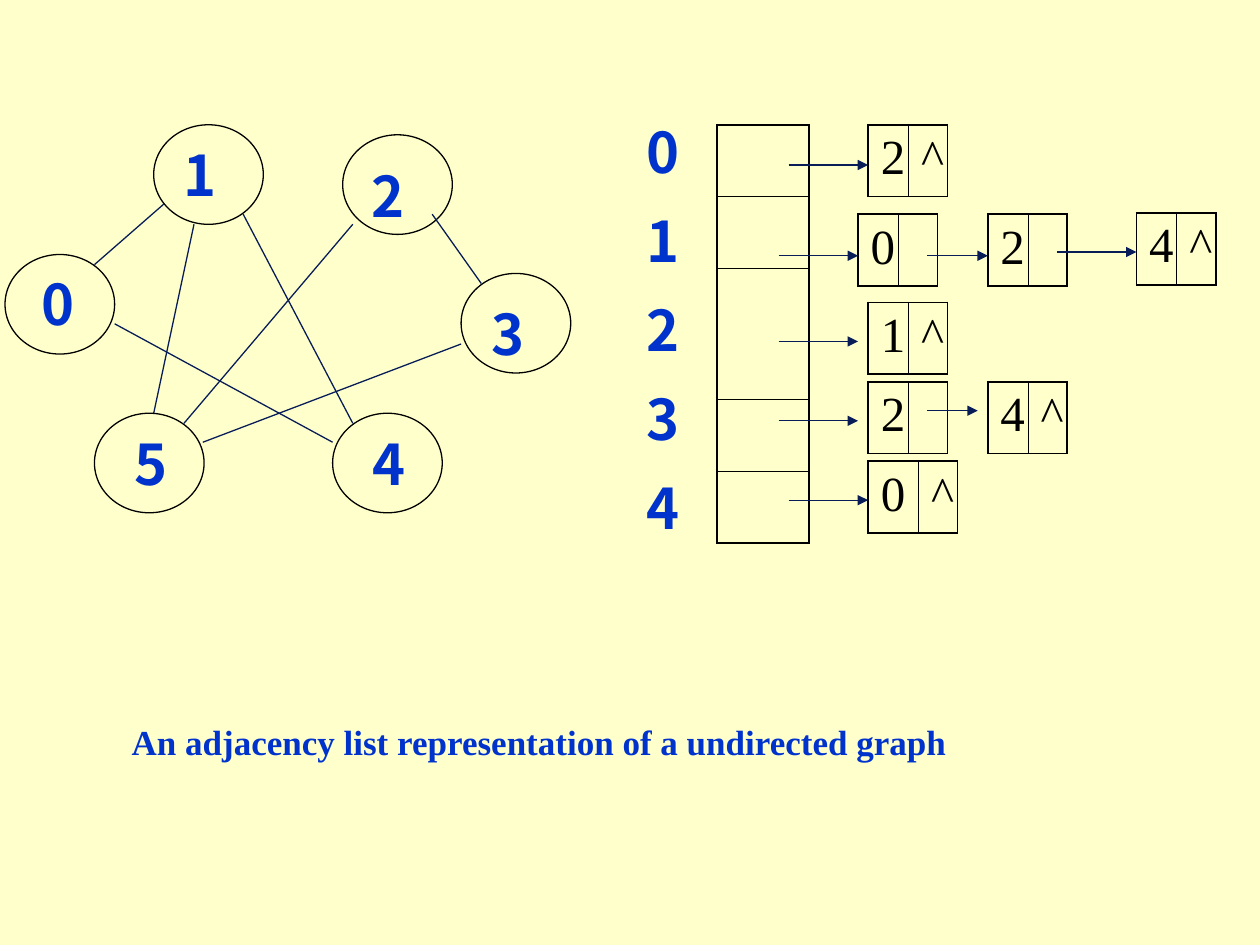
from lxml import etree
from pptx import Presentation
from pptx.dml.color import RGBColor
from pptx.enum.shapes import MSO_CONNECTOR, MSO_SHAPE
from pptx.enum.text import MSO_AUTO_SIZE, PP_ALIGN
from pptx.oxml.ns import qn
from pptx.util import Inches, Pt

ELLIPSE = MSO_SHAPE.OVAL
STRAIGHT = MSO_CONNECTOR.STRAIGHT
CENTER = PP_ALIGN.CENTER
LEFT = PP_ALIGN.LEFT
GROW = MSO_AUTO_SIZE.SHAPE_TO_FIT_TEXT

COLORS = {"background": "FFFFCC", "label": "0033CC", "line": "081D58", "ink": "000000"}
SERIF = "Times New Roman"
SANS = "Noto Sans CJK SC"
OUTER, INNER = 1.08, 0.45  # border widths in points
CELL_HEIGHT = 0.57
VERTEX_SIZE = (0.87, 0.79)
LABEL_SIZE = (1.72, 0.8)

# Vertex: (ellipse left, top), (label left, top)
VERTICES = {
    "0": ((0.04, 2.02), (-0.4, 1.93)),
    "1": ((1.22, 0.99), (0.73, 0.91)),
    "2": ((2.72, 1.07), (2.22, 1.07)),
    "3": ((3.66, 2.17), (3.17, 2.17)),
    "4": ((2.64, 3.28), (2.23, 3.2)),
    "5": ((0.75, 3.28), (0.34, 3.2)),
}
EDGES = [
    ((1.3, 1.62), (0.75, 2.1)),
    ((1.54, 1.78), (1.22, 3.28)),
    ((1.93, 1.7), (2.8, 3.36)),
    ((2.8, 1.78), (1.46, 3.36)),
    ((3.66, 2.73), (1.61, 3.51)),
    ((0.91, 2.57), (2.64, 3.51)),
    ((3.43, 1.7), (3.82, 2.25)),
]
HEAD_ROWS = [0.57, 0.57, 1.04, 0.57, 0.57]
# List node: left, top, value, link, value column width
LIST_NODES = [
    (6.89, 0.99, "2", "^", 0.32),
    (6.81, 1.7, "0", "", 0.32),
    (7.84, 1.7, "2", "", 0.32),
    (9.02, 1.69, "4", "^", 0.32),
    (6.89, 2.4, "1", "^", 0.32),
    (6.89, 3.03, "2", "", 0.32),
    (7.84, 3.03, "4", "^", 0.32),
    (6.89, 3.66, "0", "^", 0.4),
]
# Pointer: start x, end x, y
POINTERS = [
    (6.26, 6.89, 1.31),
    (6.18, 6.81, 2.03),
    (7.36, 7.84, 2.03),
    (8.39, 9.02, 2),
    (6.18, 6.81, 2.71),
    (6.18, 6.81, 3.34),
    (7.36, 7.76, 3.26),
    (6.26, 6.89, 3.97),
]


def color(name):
    return RGBColor.from_string(COLORS[name])


def write_text(frame, lines, size=32, font=SANS, ink="label", bold=True,
               align=CENTER, before=20, spacing=None):
    for index, line in enumerate(lines):
        paragraph = frame.add_paragraph() if index else frame.paragraphs[0]
        paragraph.alignment = align
        paragraph.space_before = Pt(before)
        paragraph.line_spacing = spacing
        run = paragraph.add_run()
        run.text = line
        run.font.size = Pt(size)
        run.font.name = font
        run.font.bold = bold
        run.font.color.rgb = color(ink)
        # East Asian font slot
        etree.SubElement(run.font._element, qn("a:ea"), typeface=font)


def add_label(slide, position, extent, lines, **text_format):
    box = slide.shapes.add_textbox(*map(Inches, (*position, *extent)))
    frame = box.text_frame
    frame.word_wrap = False
    frame.auto_size = GROW
    write_text(frame, lines, **text_format)


def add_vertex(slide, name, position, label_position):
    shape = slide.shapes.add_shape(ELLIPSE, *map(Inches, (*position, *VERTEX_SIZE)))
    shape.shadow.inherit = False
    shape.fill.background()
    shape.line.color.rgb = color("ink")
    shape.line.width = Pt(0.75)
    add_label(slide, label_position, LABEL_SIZE, [name], spacing=1.3)


def add_line(slide, start, end, arrow=False):
    connector = slide.shapes.add_connector(STRAIGHT, *map(Inches, (*start, *end)))
    connector.line.color.rgb = color("line")
    connector.line.width = Pt(0.75)
    if arrow:
        etree.SubElement(connector.line._get_or_add_ln(), qn("a:tailEnd"), type="triangle")
    etree.SubElement(connector._element.spPr, qn("a:effectLst"))


def set_borders(cell, widths):
    properties = cell._tc.get_or_add_tcPr()
    for index, (side, width) in enumerate(widths.items()):
        border = etree.Element(qn(f"a:ln{side}"), w=str(Pt(width)))
        fill = etree.SubElement(border, qn("a:solidFill"))
        etree.SubElement(fill, qn("a:srgbClr"), val=COLORS["ink"])
        properties.insert(index, border)


def add_grid(slide, left, top, columns, rows, values=()):
    """Unfilled table with heavy outer and thin inner borders."""
    frame = slide.shapes.add_table(len(rows), len(columns), *map(
        Inches, (left, top, sum(columns), sum(rows))))
    table = frame.table
    table.first_row = table.horz_banding = False
    for column, width in zip(table.columns, columns):
        column.width = Inches(width)
    for row, height in zip(table.rows, rows):
        row.height = Inches(height)
    last_row, last_column = len(rows) - 1, len(columns) - 1
    for y in range(len(rows)):
        for x in range(len(columns)):
            cell = table.cell(y, x)
            cell.fill.background()
            set_borders(cell, {
                "L": OUTER if x == 0 else INNER,
                "R": OUTER if x == last_column else INNER,
                "T": OUTER if y == 0 else INNER,
                "B": OUTER if y == last_row else INNER,
            })
    for x, value in enumerate(values):
        if value:
            write_text(table.cell(0, x).text_frame, [value], size=28, font=SERIF,
                       ink="ink", bold=False, align=LEFT, before=7)


def main():
    presentation = Presentation()
    presentation.slide_width = Inches(10)
    presentation.slide_height = Inches(7.5)
    slide = presentation.slides.add_slide(presentation.slide_layouts[6])
    slide.background.fill.solid()
    slide.background.fill.fore_color.rgb = color("background")

    # Undirected graph
    for name, (position, label_position) in VERTICES.items():
        add_vertex(slide, name, position, label_position)
    for start, end in EDGES:
        add_line(slide, start, end)

    # Adjacency list: head array, indices, nodes and pointers
    add_grid(slide, 5.69, 0.99, [0.73], HEAD_ROWS)
    add_label(slide, (4.4, 0.99), (1.72, 3.35), list("01234"), spacing=0.8)
    for left, top, value, link, width in LIST_NODES:
        add_grid(slide, left, top, [width, 0.31], [CELL_HEIGHT], (value, link))
    for start, end, y in POINTERS:
        add_line(slide, (start, y), (end, y), arrow=True)

    # Caption
    add_label(slide, (0.31, 5.57), (7.94, 0.54),
              ["An adjacency list representation of a undirected graph"],
              size=20, font=SERIF, before=12.5, spacing=1.3)

    presentation.save("out.pptx")


if __name__ == "__main__":
    main()
